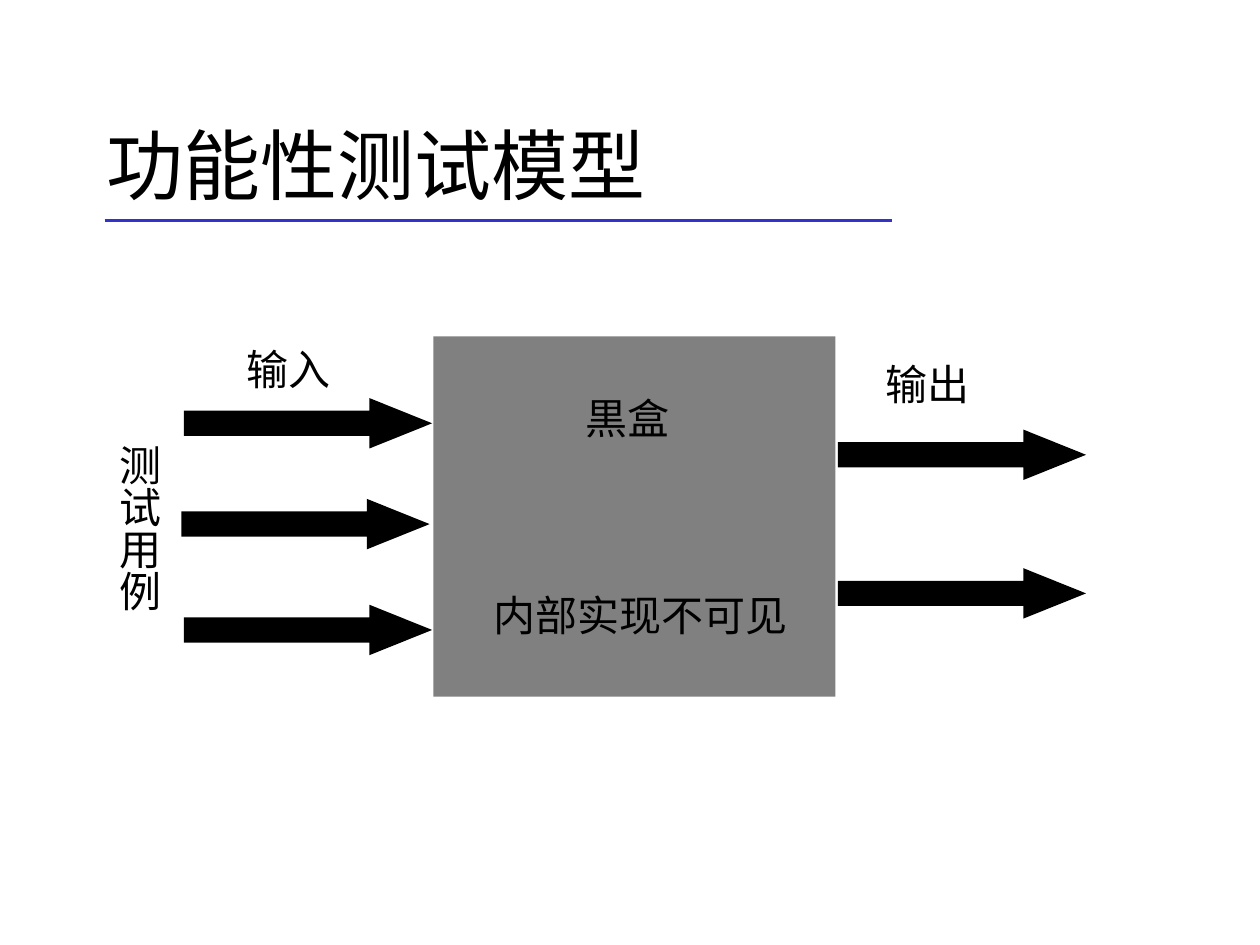
from dataclasses import dataclass

from lxml import etree
from pptx import Presentation
from pptx.dml.color import RGBColor
from pptx.enum import shapes, text
from pptx.oxml import ns
from pptx.util import Inches, Pt


@dataclass(frozen=True)
class Theme:
    font: str = "Times New Roman"
    ink: RGBColor = RGBColor(0, 0, 0)
    box: RGBColor = RGBColor(0x80, 0x80, 0x80)
    rule: RGBColor = RGBColor(0x33, 0x33, 0xCC)
    title_size: int = 44
    label_size: int = 24
    rule_width: float = 2.25


class SlideBuilder:
    def __init__(self, s, theme):
        self.s = s
        self.theme = theme

    def rule(self, x1, x2, y):
        line = self.s.shapes.add_connector(
            shapes.MSO_CONNECTOR.STRAIGHT, Inches(x1), Inches(y), Inches(x2), Inches(y))
        line.line.color.rgb = self.theme.rule
        line.line.width = Pt(self.theme.rule_width)
        etree.SubElement(line.element.spPr, ns.qn("a:effectLst"))

    def shape(self, kind, x, y, w, h, color):
        sp = self.s.shapes.add_shape(kind, Inches(x), Inches(y), Inches(w), Inches(h))
        sp.shadow.inherit = False
        sp.fill.solid()
        sp.fill.fore_color.rgb = color
        sp.line.fill.background()
        return sp

    def box(self, x, y, w, h):
        self.shape(shapes.MSO_SHAPE.RECTANGLE, x, y, w, h, self.theme.box)

    def arrow(self, x, y, w=1.97, h=0.4):
        sp = self.shape(shapes.MSO_SHAPE.RIGHT_ARROW, x, y, w, h, self.theme.ink)
        sp.adjustments[0] = 0.5
        sp.adjustments[1] = 1.244

    def text(self, words, x, y, w, h, size):
        sp = self.s.shapes.add_textbox(Inches(x), Inches(y), Inches(w), Inches(h))
        tf = sp.text_frame
        tf.word_wrap = True
        p = tf.paragraphs[0]
        p.text = words
        p.font.name = self.theme.font
        p.font.size = Pt(size)
        p.font.color.rgb = self.theme.ink
        return sp

    def title(self, words, x, y, w, h):
        sp = self.text(words, x, y, w, h, self.theme.title_size)
        sp.text_frame.vertical_anchor = text.MSO_ANCHOR.MIDDLE

    def label(self, words, x, y, w=0.94, h=0.5):
        sp = self.text(words, x, y, w, h, self.theme.label_size)
        sp.text_frame.paragraphs[0].alignment = text.PP_ALIGN.JUSTIFY

    def vertical_label(self, words, x, y, w, h):
        sp = self.text(words, x, y, w, h, self.theme.label_size)
        tf = sp.text_frame
        tf.margin_left = tf.margin_right = Inches(0.05)
        tf.margin_top = tf.margin_bottom = Inches(0.1)
        sp.element.txBody.bodyPr.set("vert", "eaVert")


def main():
    prs = Presentation()
    prs.slide_width, prs.slide_height = Inches(10), Inches(7.5)
    b = SlideBuilder(prs.slides.add_slide(prs.slide_layouts[6]), Theme())

    b.rule(0.83, 7.08, 1.75)
    b.title("功能性测试模型", 0.75, 0.67, 8.5, 1.25)

    b.box(3.44, 2.67, 3.19, 2.86)
    inputs = [(1.46, 3.16), (1.44, 3.96), (1.46, 4.8)]
    outputs = [(6.65, 3.41), (6.65, 4.51)]
    for x, y in inputs + outputs:
        b.arrow(x, y)

    b.label("输入", 1.86, 2.68)
    b.label("输出", 6.93, 2.8)
    b.label("黒盒", 4.55, 3.07)
    b.label("内部实现不可见", 3.82, 4.63, w=2.55)
    b.vertical_label("测试用例", 0.75, 3.43, 0.6, 1.62)

    prs.save("out.pptx")


if __name__ == "__main__":
    main()
